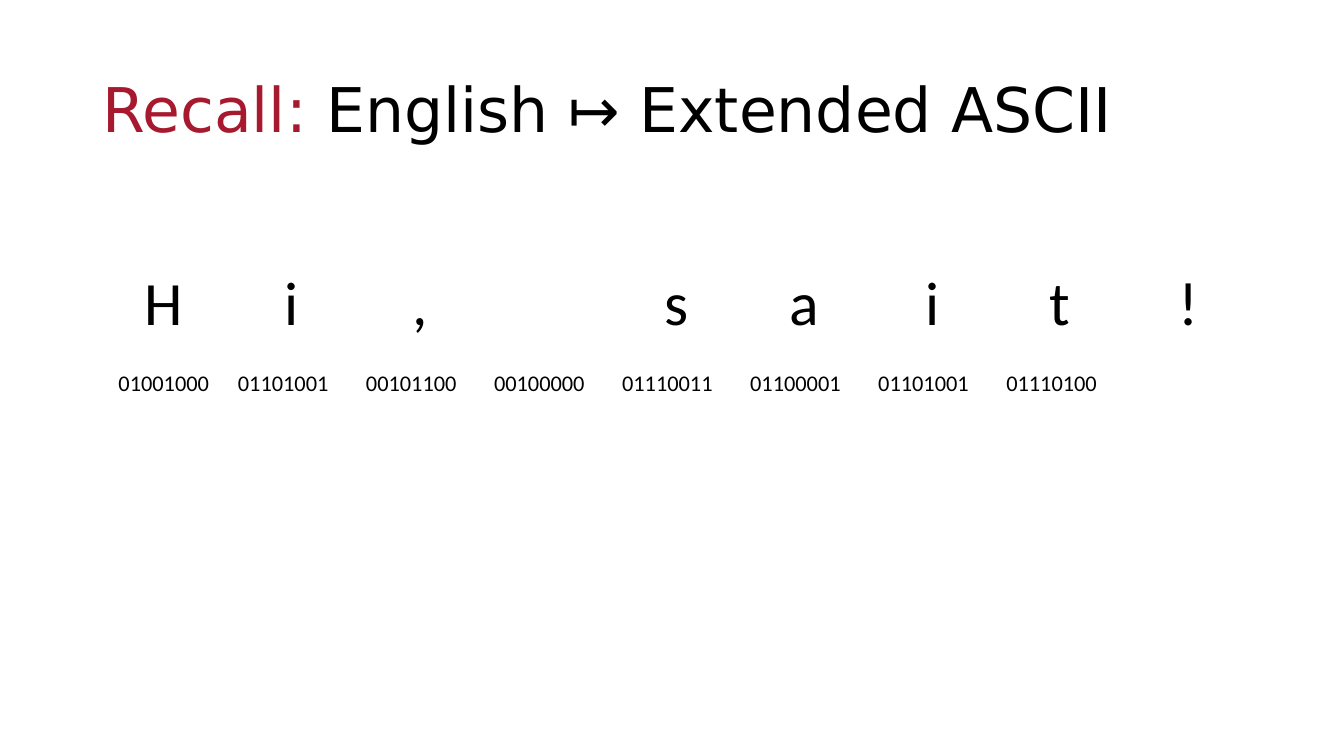
from dataclasses import dataclass

import pptx
import pptx.dml.color
import pptx.enum.text
import pptx.util

PX = 9525
CRIMSON = pptx.dml.color.RGBColor(0xA6, 0x19, 0x2E)
BLACK = pptx.dml.color.RGBColor(0x00, 0x00, 0x00)
ALIGN = pptx.enum.text.PP_ALIGN
MIDDLE = pptx.enum.text.MSO_ANCHOR.MIDDLE


@dataclass(frozen=True)
class Encoding:
    letter: str
    bits: str
    bits_align: ALIGN = ALIGN.LEFT


GREETING = (
    Encoding("H", "01001000", ALIGN.CENTER),
    Encoding("i", "01101001"),
    Encoding(",", "00101100"),
    Encoding("", "00100000"),
    Encoding("s", "01110011"),
    Encoding("a", "01100001"),
    Encoding("i", "01101001"),
    Encoding("t", "01110100"),
    Encoding("!", ""),
)


def px(length: int) -> pptx.util.Emu:
    return pptx.util.Emu(length * PX)


def write(paragraph, text: str, *, size: int, font: str = "Calibri",
          color=BLACK, align=ALIGN.LEFT) -> None:
    paragraph.alignment = align
    run = paragraph.add_run()
    run.text = text
    run.font.size = pptx.util.Pt(size)
    run.font.name = font
    run.font.color.rgb = color


def add_heading(slide) -> None:
    heading = slide.shapes.title
    heading.left, heading.top = px(88), px(38)
    heading.width, heading.height = px(1104), px(139)
    frame = heading.text_frame
    frame.word_wrap = True
    frame.auto_size = pptx.enum.text.MSO_AUTO_SIZE.NONE
    frame.vertical_anchor = MIDDLE
    paragraph = frame.paragraphs[0]
    paragraph.line_spacing = 0.9
    write(paragraph, "Recall: ", size=44, font="DejaVu Sans", color=CRIMSON)
    write(paragraph, "English ↦ Extended ASCII", size=44, font="DejaVu Sans")


def fill_cell(cell, text: str, size: int, align: ALIGN) -> None:
    cell.fill.background()
    cell.vertical_anchor = MIDDLE
    cell.margin_top = cell.margin_bottom = 0
    if text:
        write(cell.text_frame.paragraphs[0], text, size=size, align=align)


def add_encoding_table(slide) -> None:
    column_width, row_height = 122, 76
    table = slide.shapes.add_table(
        2, len(GREETING), px(95), px(252),
        px(column_width * len(GREETING)), px(row_height * 2)).table
    table.first_row = False
    table.horz_banding = False
    for index, encoding in enumerate(GREETING):
        table.columns[index].width = px(column_width)
        fill_cell(table.cell(0, index), encoding.letter, 44, ALIGN.CENTER)
        fill_cell(table.cell(1, index), encoding.bits, 16, encoding.bits_align)


def main() -> None:
    deck = pptx.Presentation()
    deck.slide_width, deck.slide_height = px(1280), px(720)
    slide = deck.slides.add_slide(deck.slide_layouts[5])
    add_heading(slide)
    add_encoding_table(slide)
    deck.save("out.pptx")


if __name__ == "__main__":
    main()
